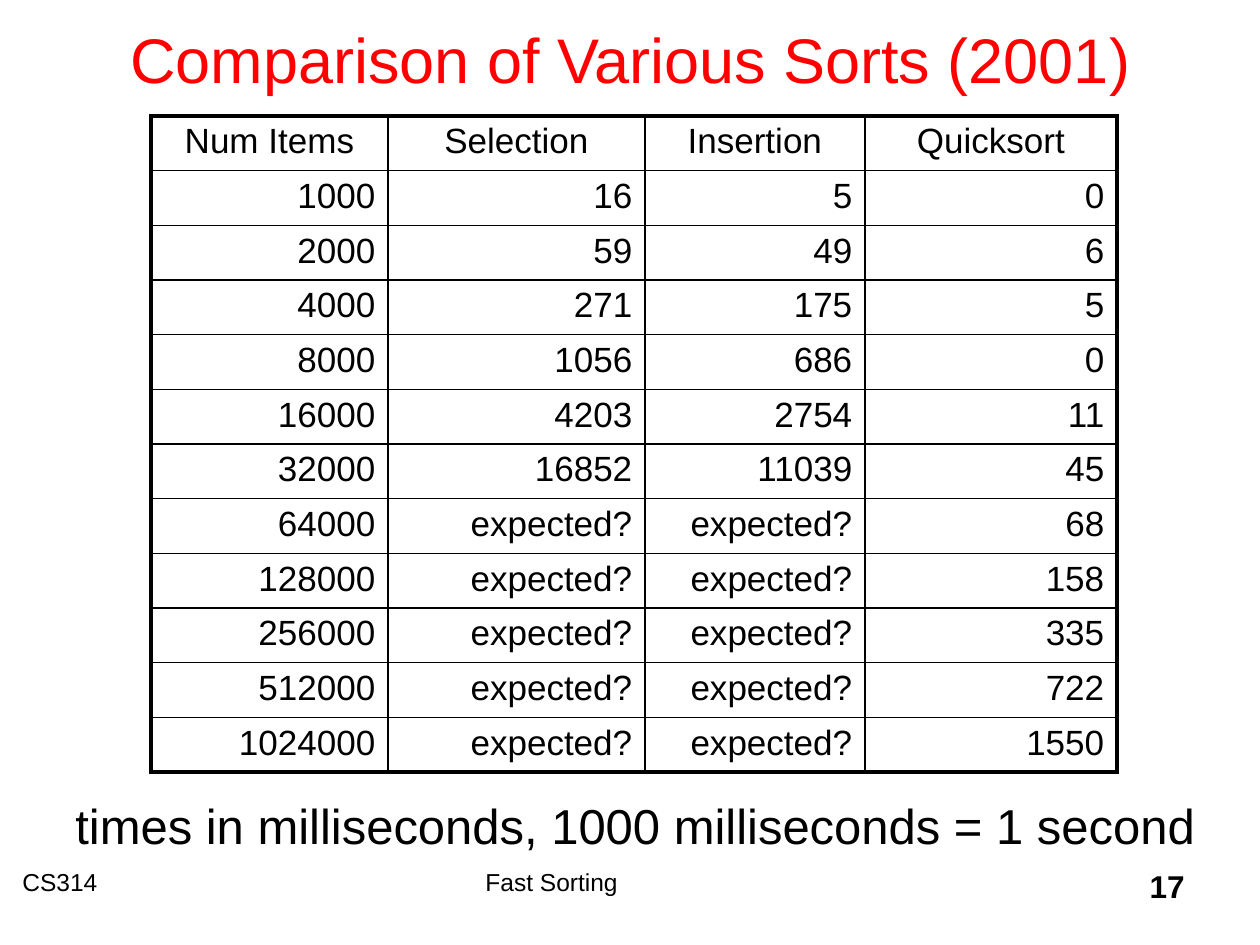
from lxml import etree
from pptx import Presentation
from pptx import util as u
from pptx.dml.color import RGBColor
from pptx.enum import text
from pptx.oxml.ns import qn

PX = 914400 // 126
HUE = {"ink": "000000", "title": "FF0000"}
LEFT, MID, RIGHT = text.PP_ALIGN.LEFT, text.PP_ALIGN.CENTER, text.PP_ALIGN.RIGHT


def style(frame, words, size, align=LEFT, hue="ink", bold=False):
    frame.text = words
    para = frame.paragraphs[0]
    para.alignment = align
    font = para.runs[0].font
    font.name, font.size, font.bold = "Arial", u.Pt(size), bold
    font.color.rgb = RGBColor.from_string(HUE[hue])


def edge(cell, side, width):
    line = etree.SubElement(cell._tc.get_or_add_tcPr(), qn("a:ln" + side),
                            w=str(u.Pt(width)))
    fill = etree.SubElement(line, qn("a:solidFill"))
    etree.SubElement(fill, qn("a:srgbClr"), val=HUE["ink"])


deck = Presentation()
deck.slide_width, deck.slide_height = u.Inches(10), u.Inches(7.5)
slide = deck.slides.add_slide(deck.slide_layouts[6])

# Footer, title and note: place, words, size, align, colour, bold
labels = [
    ((10, 861, 368, 63), "CS314", 14, LEFT, "ink", False),
    ((473, 861, 420, 63), "Fast Sorting", 14, LEFT, "ink", False),
    ((935, 861, 262, 63), "17", 18, RIGHT, "ink", True),
    ((95, -21, 1071, 158), "Comparison of Various Sorts (2001)", 36, MID, "title", False),
    ((63, 789, 1159, 72), "times in milliseconds, 1000 milliseconds = 1 second",
     28, LEFT, "ink", False),
]
for place, *look in labels:
    box = slide.shapes.add_textbox(*(n * PX for n in place))
    frame = box.text_frame
    frame.word_wrap = True
    style(frame, *look)
    if look[3] == "title":
        frame.vertical_anchor = text.MSO_ANCHOR.MIDDLE

# The note, last in the list, stays on one line
frame.word_wrap = False
frame.auto_size = text.MSO_AUTO_SIZE.SHAPE_TO_FIT_TEXT
frame.paragraphs[0].space_before = u.Pt(3)

# Table of sort times; the number of items doubles in each row
guess = "expected?"
times = [
    (16, 5, 0), (59, 49, 6), (271, 175, 5), (1056, 686, 0),
    (4203, 2754, 11), (16852, 11039, 45),
    (guess, guess, 68), (guess, guess, 158), (guess, guess, 335),
    (guess, guess, 722), (guess, guess, 1550),
]
rows = [("Num Items", "Selection", "Insertion", "Quicksort")]
rows += [(1000 * 2 ** i, *row) for i, row in enumerate(times)]
wide = [237, 257, 220, 252]
tall = 656
last, end = len(rows) - 1, len(wide) - 1

grid = slide.shapes.add_table(len(rows), len(wide), 151 * PX, 116 * PX,
                              sum(wide) * PX, tall * PX).table
grid.first_row = grid.horz_banding = False
for col, width in zip(grid.columns, wide):
    col.width = width * PX
for r, row in enumerate(rows):
    grid.rows[r].height = tall * PX // len(rows)
    for c, item in enumerate(row):
        cell = grid.cell(r, c)
        style(cell.text_frame, str(item), 20, RIGHT if r else MID)
        # Thick frame outside, thin rules inside
        outer = {"L": c == 0, "R": c == end, "T": r == 0, "B": r == last}
        for side, thick in outer.items():
            edge(cell, side, 2.25 if thick else 1)
        cell.fill.background()

deck.save("out.pptx")
